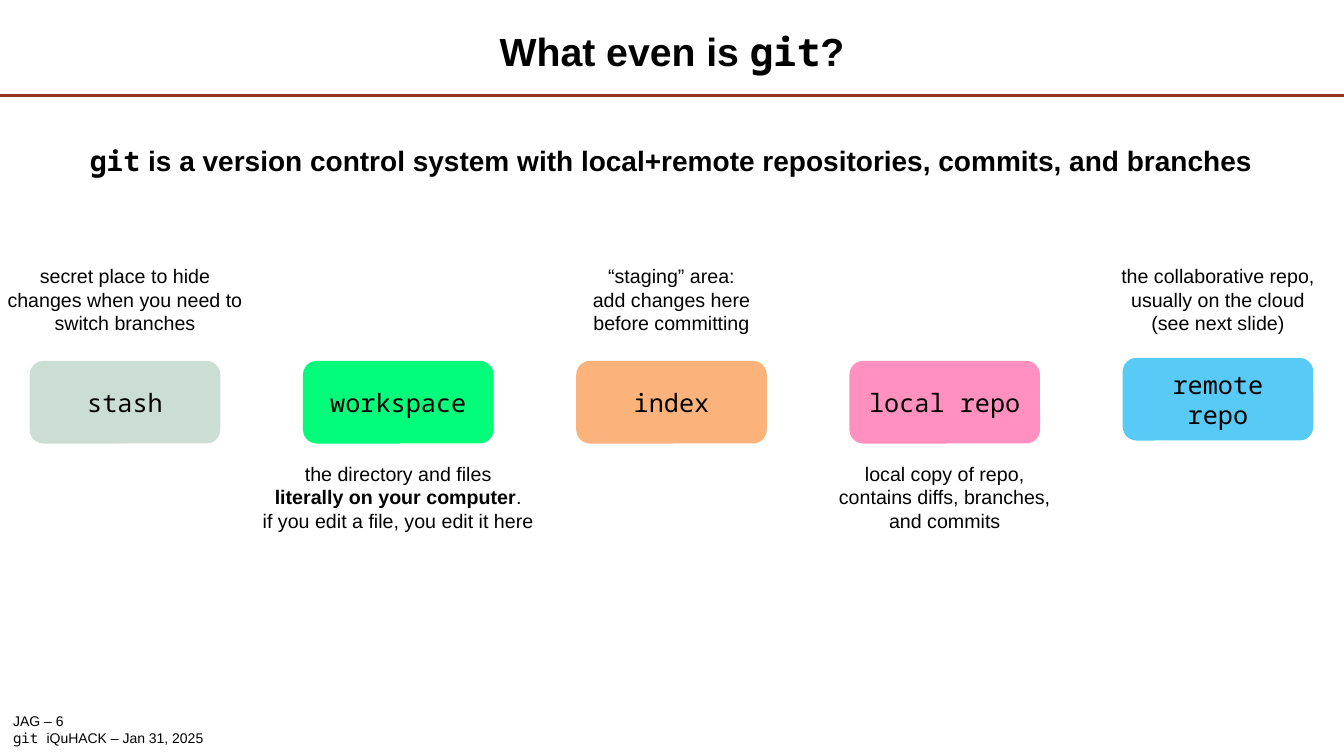
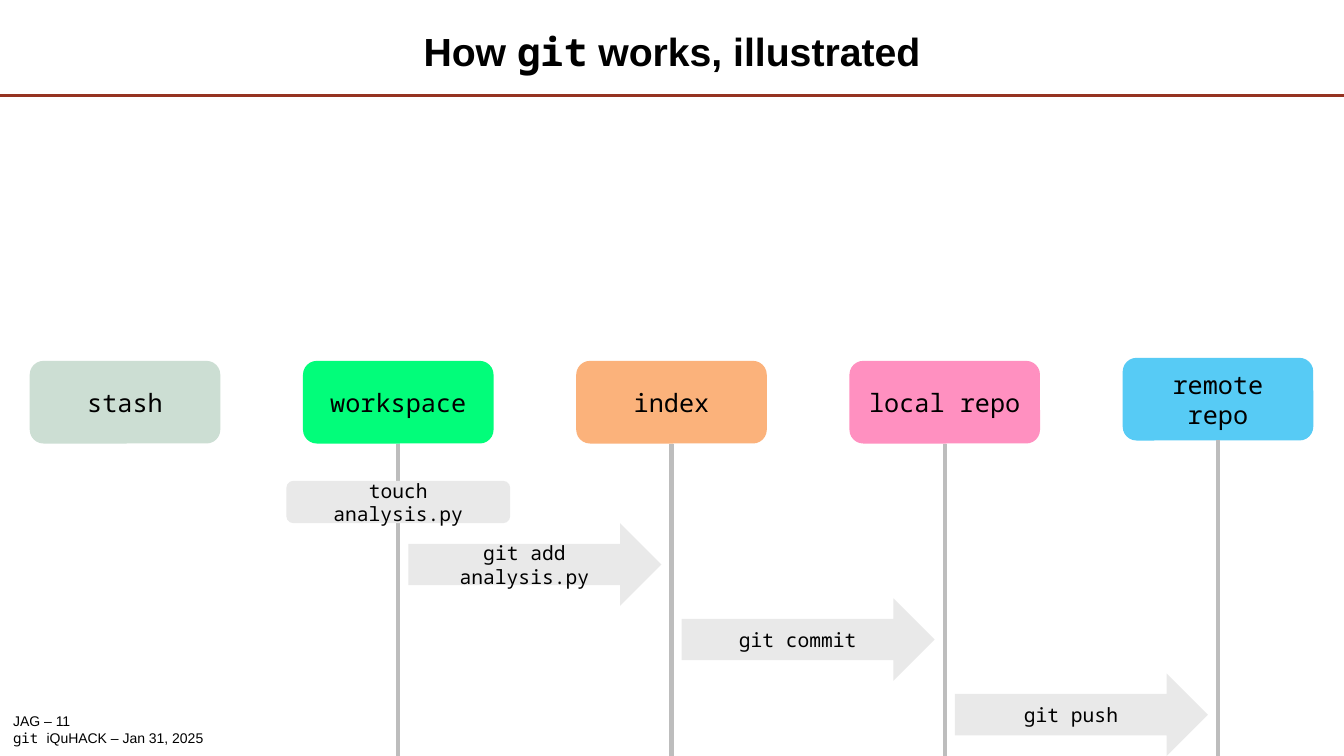
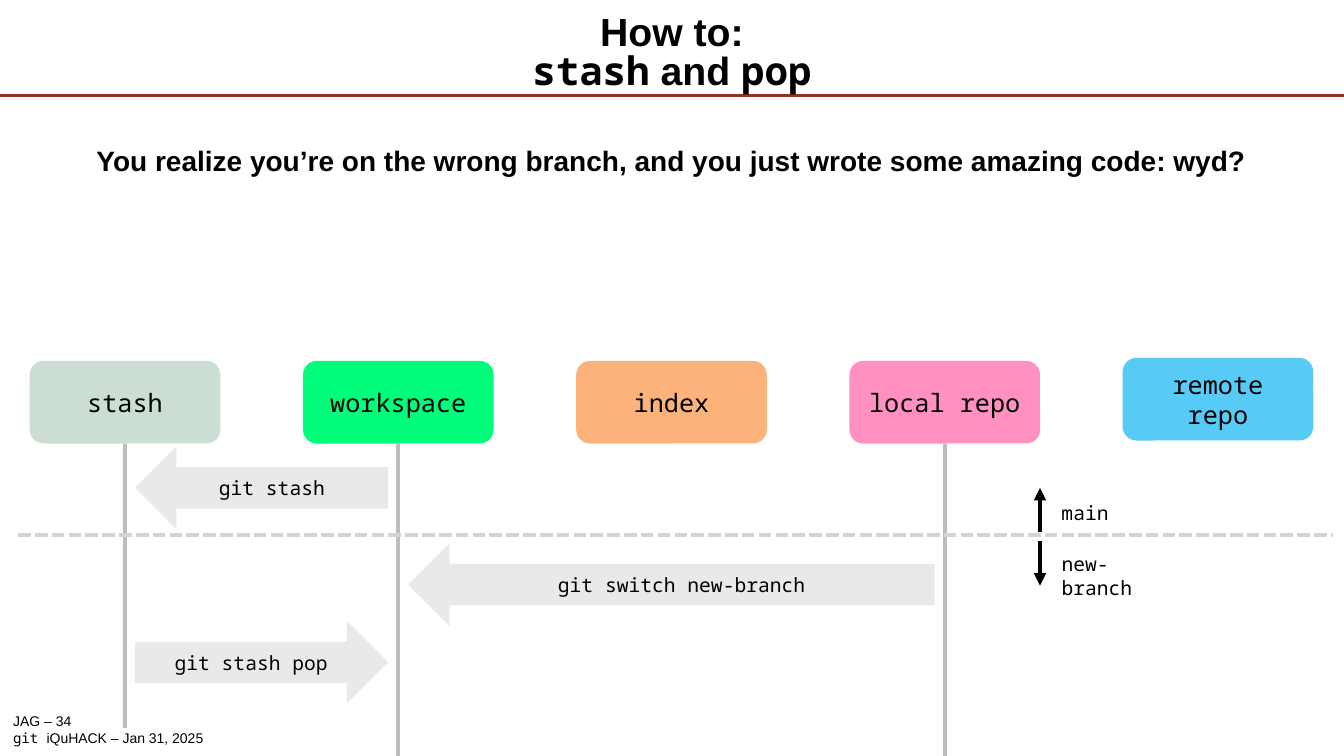
from dataclasses import dataclass

import pptx
import pptx.dml.color
import pptx.enum.dml
import pptx.enum.shapes
import pptx.enum.text
import pptx.oxml.ns
import pptx.util
from lxml import etree

Color = pptx.dml.color.RGBColor
Shape = pptx.enum.shapes.MSO_SHAPE
Align = pptx.enum.text.PP_ALIGN
Anchor = pptx.enum.text.MSO_ANCHOR
Inches = pptx.util.Inches
Pt = pptx.util.Pt

BLACK = Color(0x00, 0x00, 0x00)
RULE_RED = Color(0x95, 0x33, 0x21)
LIFELINE_GRAY = Color(0xBD, 0xBD, 0xBD)
DIVIDER_GRAY = Color(0xD3, 0xD3, 0xD3)
COMMAND_GRAY = Color(0xE9, 0xE9, 0xE9)
STASH_SAGE = Color(0xCC, 0xDE, 0xD3)
WORKSPACE_GREEN = Color(0x02, 0xFD, 0x7A)
INDEX_ORANGE = Color(0xFB, 0xB2, 0x7B)
LOCAL_PINK = Color(0xFF, 0x90, 0xC0)
REMOTE_BLUE = Color(0x57, 0xCB, 0xF5)

SANS, MONO = "Arial", "Noto Sans Mono"
SLIDE_W, SLIDE_H = 13.33, 7.5
FIRST_CENTER, COLUMN_STEP = 1.24, 2.71
PLACE_W, PLACE_H, PLACE_TOP = 1.89, 0.82, 3.58
ARROW_H, ARROW_GAP = 0.82, 0.1
NOTE_W, NOTE_H, NOTE_ABOVE, NOTE_BELOW = 2.98, 0.81, 2.57, 4.53
STASH, WORKSPACE, INDEX, LOCAL, REMOTE = range(5)


@dataclass(frozen=True)
class Span:
    text: str
    font: str = SANS
    bold: bool = False


@dataclass(frozen=True)
class Style:
    size: float
    align: Align = Align.CENTER
    anchor: Anchor = Anchor.TOP
    spacing: float | pptx.util.Length | None = None


@dataclass(frozen=True)
class Place:
    name: str
    fill: Color
    top: float = PLACE_TOP


@dataclass(frozen=True)
class Note:
    column: int
    top: float
    lines: tuple[tuple[Span, ...], ...]


@dataclass(frozen=True)
class Command:
    """A labelled arrow from one column's lifeline to another's."""
    text: str
    start: int
    end: int
    top: float


TITLE = Style(28, anchor=Anchor.MIDDLE, spacing=Pt(28))
LEAD = Style(20, spacing=0.9)
NOTE = Style(14)
FOOTER = Style(10, Align.LEFT)
BRANCH = Style(14, Align.LEFT)
PLACE = Style(18, anchor=Anchor.MIDDLE)
COMMAND = Style(14, anchor=Anchor.MIDDLE)

PLACES = (
    Place("stash", STASH_SAGE),
    Place("workspace", WORKSPACE_GREEN),
    Place("index", INDEX_ORANGE),
    Place("local repo", LOCAL_PINK),
    Place("remote repo", REMOTE_BLUE, 3.55),
)


def plain(*lines: str) -> tuple[tuple[Span, ...], ...]:
    return tuple((Span(line),) for line in lines)


NOTES = (
    Note(STASH, NOTE_ABOVE, plain("secret place to hide", "changes when you need to", "switch branches")),
    Note(WORKSPACE, NOTE_BELOW, (
        (Span("the directory and files"),),
        (Span("literally on your computer", bold=True), Span(".")),
        (Span("if you edit a file, you edit it here"),),
    )),
    Note(INDEX, NOTE_ABOVE, plain("“staging” area:", "add changes here", "before committing")),
    Note(LOCAL, NOTE_BELOW, plain("local copy of repo,", "contains diffs, branches,", "and commits")),
    Note(REMOTE, NOTE_ABOVE, plain("the collaborative repo,", "usually on the cloud", "(see next slide)")),
)


def center(column: int) -> float:
    return FIRST_CENTER + column * COLUMN_STEP


def write(frame, lines, style: Style) -> None:
    """Fill a text frame: one paragraph per line, one run per span."""
    frame.word_wrap = True
    frame.vertical_anchor = style.anchor
    for number, line in enumerate(lines):
        para = frame.add_paragraph() if number else frame.paragraphs[0]
        para.alignment = style.align
        if style.spacing is not None:
            para.line_spacing = style.spacing
        for span in line:
            if span.text == "\n":
                para.add_line_break()
                continue
            run = para.add_run()
            run.text = span.text
            run.font.name = span.font
            run.font.size = Pt(style.size)
            run.font.bold = span.bold
            run.font.color.rgb = BLACK


def add_text(page, left: float, top: float, width: float, height: float, lines, style: Style):
    box = page.shapes.add_textbox(Inches(left), Inches(top), Inches(width), Inches(height))
    write(box.text_frame, lines, style)
    return box


def add_block(page, kind: Shape, left: float, top: float, width: float, height: float,
              fill: Color, text: str, style: Style):
    block = page.shapes.add_shape(kind, Inches(left), Inches(top), Inches(width), Inches(height))
    block.shadow.inherit = False
    block.fill.solid()
    block.fill.fore_color.rgb = fill
    block.line.fill.background()
    write(block.text_frame, [[Span(text, MONO)]], style)
    return block


def add_line(page, x1: float, y1: float, x2: float, y2: float, color: Color,
             width: float = 3, arrow: bool = False):
    line = page.shapes.add_connector(
        pptx.enum.shapes.MSO_CONNECTOR.STRAIGHT, Inches(x1), Inches(y1), Inches(x2), Inches(y2))
    line.line.color.rgb = color
    line.line.width = Pt(width)
    if arrow:
        outline = line.line._get_or_add_ln()
        etree.SubElement(outline, pptx.oxml.ns.qn("a:tailEnd"), type="triangle")
    etree.SubElement(line._element.spPr, pptx.oxml.ns.qn("a:effectLst"))
    return line


def add_page(deck, number: int, title: tuple[Span, ...], lead: tuple[Span, ...] = ()):
    """Add a slide with its footer, title rule, title and optional lead sentence."""
    page = deck.slides.add_slide(deck.slide_layouts[6])
    footer = add_text(page, 0.08, 7.07, SLIDE_W / 4, 0.33, (
        (Span(f"JAG – {number}"),),
        (Span("git ", MONO), Span("iQuHACK – Jan 31, 2025")),
    ), FOOTER).text_frame
    footer.margin_left = Inches(0.05)
    footer.margin_top = footer.margin_right = footer.margin_bottom = 0
    add_line(page, 0, 0.95, SLIDE_W, 0.95, RULE_RED, 2)
    add_text(page, 2.03, 0.18, 9.27, 0.72, [title], TITLE)
    if lead:
        add_text(page, 0.69, 1.41, 11.94, 0.82, [lead], LEAD)
    return page


def add_places(page, lifelines: dict[int, float]) -> None:
    """Draw the five places; lifelines maps a column to the bottom of its line."""
    for column, place in enumerate(PLACES):
        block = add_block(page, Shape.ROUNDED_RECTANGLE, center(column) - PLACE_W / 2, place.top,
                          PLACE_W, PLACE_H, place.fill, place.name, PLACE)
        if column in lifelines:
            line = add_line(page, center(column), place.top + PLACE_H,
                            center(column), lifelines[column], LIFELINE_GRAY)
            line.begin_connect(block, 2)


def add_command(page, command: Command) -> None:
    first, last = sorted((command.start, command.end))
    kind = Shape.RIGHT_ARROW if command.start < command.end else Shape.LEFT_ARROW
    left = center(first) + ARROW_GAP
    width = center(last) - ARROW_GAP - left
    add_block(page, kind, left, command.top, width, ARROW_H, COMMAND_GRAY, command.text, COMMAND)


def build_overview(deck) -> None:
    page = add_page(
        deck, 6,
        (Span("What even is ", bold=True), Span("git", MONO, True), Span("?", bold=True)),
        (Span("git", MONO, True),
         Span(" is a version control system with local+remote repositories, commits, and branches", bold=True)))
    add_places(page, {})
    for note in NOTES:
        add_text(page, center(note.column) - NOTE_W / 2, note.top, NOTE_W, NOTE_H, note.lines, NOTE)


def build_workflow(deck) -> None:
    page = add_page(
        deck, 11,
        (Span("How ", bold=True), Span("git", MONO, True), Span(" works, illustrated", bold=True)))
    add_places(page, {column: SLIDE_H for column in (WORKSPACE, INDEX, LOCAL, REMOTE)})
    edit_w, edit_h, edit_top = 2.22, 0.42, 4.77
    add_block(page, Shape.ROUNDED_RECTANGLE, center(WORKSPACE) - edit_w / 2, edit_top,
              edit_w, edit_h, COMMAND_GRAY, "touch analysis.py", COMMAND)
    labels = ("git add analysis.py", "git commit", "git push")
    first_top = edit_top + edit_h
    step = (SLIDE_H - ARROW_H - first_top) / (len(labels) - 1)
    for row, label in enumerate(labels):
        add_command(page, Command(label, WORKSPACE + row, WORKSPACE + row + 1, first_top + row * step))


def build_stash(deck) -> None:
    page = add_page(
        deck, 34,
        (Span("How to:", bold=True), Span("\n"), Span("stash", MONO, True),
         Span(" and ", bold=True), Span("pop", MONO, True)),
        (Span("You realize you’re on the wrong branch, and you just wrote some amazing code: wyd?", bold=True),))
    add_places(page, {STASH: 7.22, WORKSPACE: SLIDE_H, LOCAL: SLIDE_H})
    divider_y = 5.31
    divider = add_line(page, 0.18, divider_y, 13.22, divider_y, DIVIDER_GRAY)
    divider.line.dash_style = pptx.enum.dml.MSO_LINE.SQUARE_DOT
    for command in (
        Command("git stash", WORKSPACE, STASH, 4.43),
        Command("git switch new-branch", LOCAL, WORKSPACE, 5.39),
        Command("git stash pop", STASH, WORKSPACE, 6.16),
    ):
        add_command(page, command)
    branch_x = center(LOCAL) + PLACE_W / 2
    for name, start, end, top, width in (
        ("main", 5.28, 4.84, 4.92, 0.87),
        ("new-branch", 5.37, 5.81, 5.43, 1.32),
    ):
        add_line(page, branch_x, start, branch_x, end, BLACK, arrow=True)
        add_text(page, 10.43, top, width, 0.34, [[Span(name, MONO)]], BRANCH)


def main() -> None:
    deck = pptx.Presentation()
    deck.slide_width, deck.slide_height = Inches(SLIDE_W), Inches(SLIDE_H)
    for build in (build_overview, build_workflow, build_stash):
        build(deck)
    deck.save("out.pptx")


if __name__ == "__main__":
    main()
